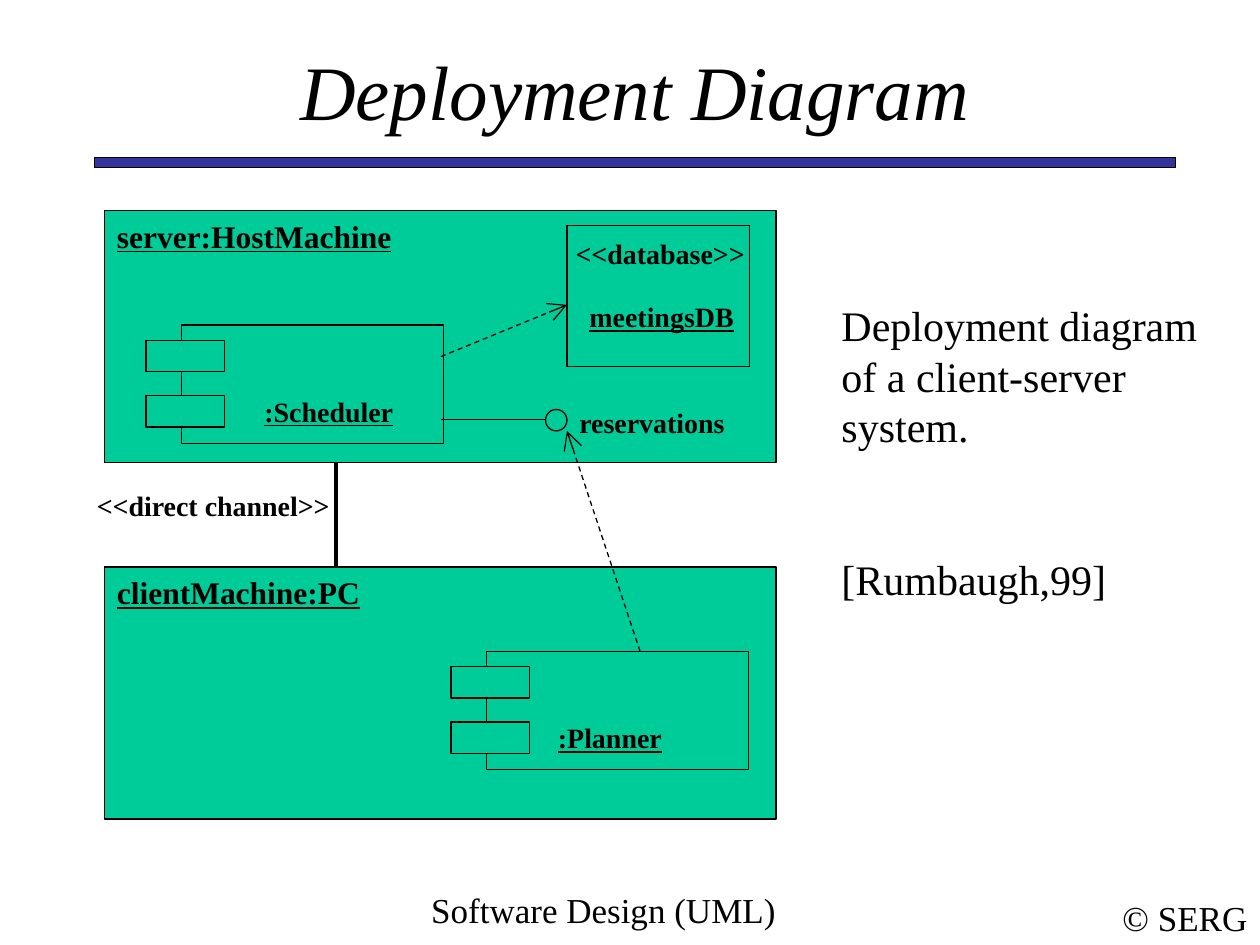
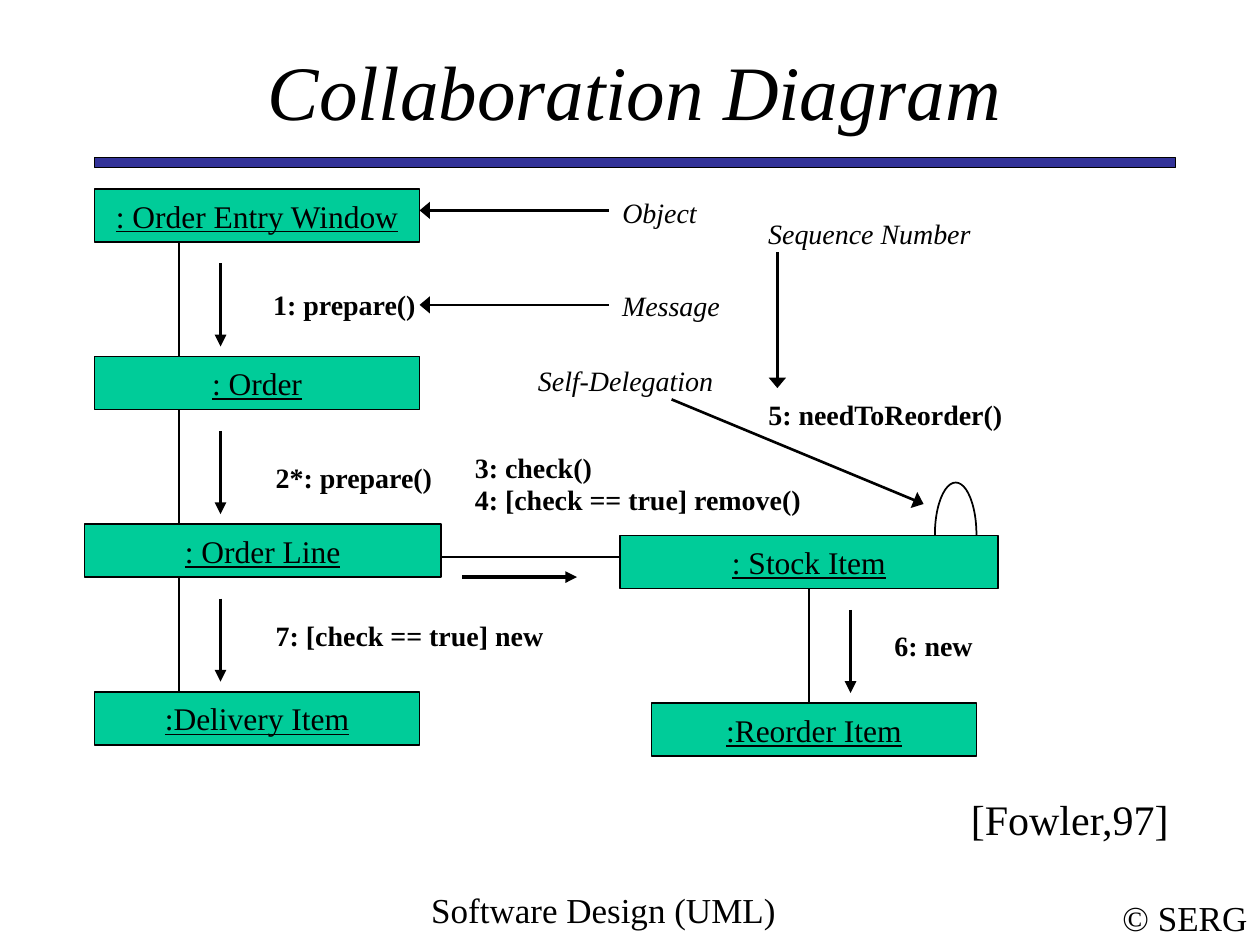
from lxml import etree
from pptx import Presentation
from pptx.dml.color import RGBColor
from pptx.enum.dml import MSO_LINE
from pptx.enum.shapes import MSO_CONNECTOR, MSO_SHAPE
from pptx.enum.text import MSO_ANCHOR, MSO_AUTO_SIZE, PP_ALIGN
from pptx.oxml.ns import qn
from pptx.util import Inches, Pt

FONT = "Times New Roman"
BLACK = RGBColor(0x00, 0x00, 0x00)
GREEN = RGBColor(0x00, 0xCC, 0x99)
BAND_BLUE = RGBColor(0x33, 0x33, 0x99)
TITLE_ONLY = 5
OBJECT_HEIGHT = 0.42
ROW_PITCH = 1.33
OPEN_ARROW = {"type": "arrow", "w": "lg", "len": "lg"}
WIDE_ARROW = {"type": "triangle", "w": "lg", "len": "med"}
MESSAGE_ARROW = {"type": "triangle", "w": "med", "len": "med"}


def format_paragraph(paragraph, size, align=PP_ALIGN.LEFT, bold=False, italic=False,
                     underline=False):
    paragraph.alignment = align
    for run in paragraph.runs:
        font = run.font
        font.name = FONT
        font.size = Pt(size)
        font.bold = bold
        font.italic = italic
        font.underline = underline
        font.color.rgb = BLACK


def add_label(slide, text, left, top, width, height=0.37, size=16, wrap=True,
              anchor=MSO_ANCHOR.TOP, **style):
    """Add a text box; one that does not wrap keeps its size, so its line never breaks."""
    label = slide.shapes.add_textbox(Inches(left), Inches(top), Inches(width), Inches(height))
    frame = label.text_frame
    frame.text = text
    frame.word_wrap = wrap
    frame.auto_size = MSO_AUTO_SIZE.SHAPE_TO_FIT_TEXT if wrap else MSO_AUTO_SIZE.NONE
    frame.vertical_anchor = anchor
    for paragraph in frame.paragraphs:
        format_paragraph(paragraph, size, **style)
    return label


def add_box(slide, left, top, width, height, kind=MSO_SHAPE.RECTANGLE, fill=GREEN,
            line_width=0.75):
    box = slide.shapes.add_shape(kind, Inches(left), Inches(top), Inches(width), Inches(height))
    box.shadow.inherit = False
    if fill is None:
        box.fill.background()
    else:
        box.fill.solid()
        box.fill.fore_color.rgb = fill
    box.line.color.rgb = BLACK
    box.line.width = Pt(line_width)
    return box


def add_line(slide, start, end, width=0.75, arrow=None, dashed=False):
    """Draw a straight line; arrow holds the arrowhead attributes for its end."""
    line = slide.shapes.add_connector(
        MSO_CONNECTOR.STRAIGHT, *(Inches(value) for value in (*start, *end)))
    line.line.color.rgb = BLACK
    line.line.width = Pt(width)
    if dashed:
        line.line.dash_style = MSO_LINE.DASH
    properties = line._element.spPr
    if arrow:
        etree.SubElement(properties.find(qn("a:ln")), qn("a:tailEnd"), arrow)
    etree.SubElement(properties, qn("a:effectLst"))
    return line


def add_framed_slide(presentation, title_text):
    """Add a slide with the shared title, band and footers."""
    slide = presentation.slides.add_slide(presentation.slide_layouts[TITLE_ONLY])
    add_label(slide, "© SERG", 8.81, 7.06, 1.19, 0.44, size=20, wrap=False,
              anchor=MSO_ANCHOR.MIDDLE, align=PP_ALIGN.CENTER)
    add_box(slide, 0.75, 1.25, 8.58, 0.08, fill=BAND_BLUE)
    add_label(slide, "Software Design (UML)", 2.58, 7, 4.42, 0.5, size=20,
              align=PP_ALIGN.CENTER)
    title = slide.shapes.title
    title.left, title.top = Inches(0.75), Inches(0.42)
    title.width, title.height = Inches(8.58), Inches(0.58)
    frame = title.text_frame
    frame.text = title_text
    frame.auto_size = MSO_AUTO_SIZE.NONE
    frame.vertical_anchor = MSO_ANCHOR.MIDDLE
    format_paragraph(frame.paragraphs[0], 44, PP_ALIGN.CENTER, italic=True)
    return slide


def add_component(slide, name, left, top, name_offset):
    """Draw a UML component: a body with two tabs on its left side."""
    add_box(slide, left + 0.28, top, 2.08, 0.94)
    for tab_offset in (0.12, 0.56):
        add_box(slide, left, top + tab_offset, 0.62, 0.25)
    add_label(slide, name, left + name_offset, top + 0.5, 1.25, bold=True, underline=True)


def add_machine(slide, name, left, top):
    add_box(slide, left, top, 5.33, 2)
    add_label(slide, name, left, top, 2.83, 0.4, size=18, bold=True, underline=True)


def add_server(slide, left, top):
    add_machine(slide, "server:HostMachine", left, top)

    database_left = left + 3.67
    add_box(slide, database_left, top + 0.12, 1.45, 1.12)
    add_label(slide, "<<database>>", database_left - 0.03, top + 0.16, 1.75, bold=True)
    add_label(slide, "meetingsDB", database_left + 0.08, top + 0.66, 1.58,
              bold=True, underline=True)

    add_component(slide, ":Scheduler", left + 0.33, top + 0.91, 0.84)
    scheduler_right = left + 2.67
    add_line(slide, (scheduler_right, top + 1.16), (database_left, top + 0.75),
             arrow=OPEN_ARROW, dashed=True)

    add_box(slide, left + 3.5, top + 1.58, 0.17, 0.17, kind=MSO_SHAPE.OVAL)
    add_line(slide, (left + 3.5, top + 1.66), (scheduler_right, top + 1.66))
    add_label(slide, "reservations", left + 3.67, top + 1.5, 2.17, bold=True)


def add_client(slide, left, top):
    add_machine(slide, "clientMachine:PC", left, top)
    add_component(slide, ":Planner", left + 2.75, top + 0.67, 0.75)


def add_description(slide, left, top):
    text = "Deployment diagram of a client-server system.\n[Rumbaugh,99]"
    description = add_label(slide, text, left, top, 3.08, 2.52, size=24)
    description.text_frame.paragraphs[1].space_before = Pt(58.8)


def build_deployment_slide(presentation):
    slide = add_framed_slide(presentation, "Deployment Diagram")
    machine_left, server_top, client_top = 0.83, 1.67, 4.5
    add_client(slide, machine_left, client_top)
    add_server(slide, machine_left, server_top)
    add_line(slide, (2.67, server_top + 2), (2.67, client_top), width=2.25)
    add_label(slide, "<<direct channel>>", 0.67, 3.83, 2.17, bold=True)
    add_line(slide, (5.08, client_top + 0.67), (4.5, 3.42), arrow=OPEN_ARROW, dashed=True)
    add_description(slide, 6.58, 2.33)


def add_object(slide, name, left, top, width):
    box = add_box(slide, left, top, width, OBJECT_HEIGHT, line_width=1)
    frame = box.text_frame
    frame.text = name
    frame.word_wrap = False
    frame.vertical_anchor = MSO_ANCHOR.MIDDLE
    format_paragraph(frame.paragraphs[0], 18, PP_ALIGN.CENTER, underline=True)
    return box


def add_object_chain(slide, objects, top, link_left):
    """Stack (name, left, width) objects, joined by a link with a message arrow beside it."""
    for row, (name, left, width) in enumerate(objects):
        object_top = top + row * ROW_PITCH
        box = add_object(slide, name, left, object_top, width)
        if row == len(objects) - 1:
            break
        bottom, next_top = object_top + OBJECT_HEIGHT, object_top + ROW_PITCH
        link = add_line(slide, (link_left, bottom), (link_left, next_top), width=1)
        if abs(left + width / 2 - link_left) < 0.01:
            link.begin_connect(box, 2)
        arrow_left = link_left + 0.33
        add_line(slide, (arrow_left, bottom + 0.17), (arrow_left, next_top - 0.08),
                 width=2.25, arrow=MESSAGE_ARROW)


def add_order_objects(slide, left, top):
    objects = [
        (": Order Entry Window", left, 2.58),
        (": Order", left, 2.58),
        (": Order Line", left - 0.08, 2.83),
        (":Delivery Item", left, 2.58),
    ]
    add_object_chain(slide, objects, top, left + 0.67)


def add_stock_objects(slide, left, top):
    add_box(slide, left + 2.5, top - 0.42, 0.33, 0.83, kind=MSO_SHAPE.OVAL, fill=None,
            line_width=1)
    objects = [(": Stock Item", left, 3), (":Reorder Item", left + 0.25, 2.58)]
    add_object_chain(slide, objects, top, left + 1.5)


def add_messages(slide):
    messages = [
        ("1: prepare()", 2.07, 2.23, 1.36),
        ("2*: prepare()", 2.09, 3.61, 1.47),
        ("3: check()", 3.67, 3.53, 1.15),
        ("4: [check == true] remove()", 3.67, 3.78, 2.81),
        ("5: needToReorder()", 6, 3.11, 2.1),
        ("6: new", 7, 4.94, 0.84),
        ("7: [check == true] new", 2.09, 4.86, 2.34),
    ]
    for text, left, top, width in messages:
        add_label(slide, text, left, top, width, wrap=False, bold=True)


def add_callouts(slide):
    """Name the parts of the notation, each with an arrow to an example."""
    callouts = [
        ("Object", 4.83, 1.5, 0.81, (4.83, 1.67), (3.33, 1.67)),
        ("Message", 4.83, 2.24, 0.99, (4.83, 2.42), (3.33, 2.42)),
        ("Sequence Number", 5.99, 1.67, 1.82, (6.17, 2), (6.17, 3.08)),
        ("Self-Delegation", 4.16, 2.83, 1.61, (5.33, 3.17), (7.33, 4)),
    ]
    for text, left, top, width, start, end in callouts:
        add_line(slide, start, end, width=1.5, arrow=WIDE_ARROW)
        add_label(slide, text, left, top, width, wrap=False, anchor=MSO_ANCHOR.MIDDLE,
                  align=PP_ALIGN.CENTER, italic=True)


def build_collaboration_slide(presentation):
    slide = add_framed_slide(presentation, "Collaboration Diagram")
    add_order_objects(slide, 0.75, 1.5)
    add_stock_objects(slide, 4.92, 4.25)
    add_line(slide, (3.5, 4.42), (4.92, 4.42), width=1)
    add_line(slide, (3.67, 4.58), (4.58, 4.58), width=2.25, arrow=MESSAGE_ARROW)
    add_messages(slide)
    add_callouts(slide)
    add_label(slide, "[Fowler,97]", 7.6, 6.25, 1.78, 0.5, size=24, wrap=False,
              anchor=MSO_ANCHOR.MIDDLE, align=PP_ALIGN.CENTER)


def main():
    presentation = Presentation()
    presentation.slide_width = Inches(10)
    presentation.slide_height = Inches(7.5)
    build_deployment_slide(presentation)
    build_collaboration_slide(presentation)
    presentation.save("out.pptx")


if __name__ == "__main__":
    main()
